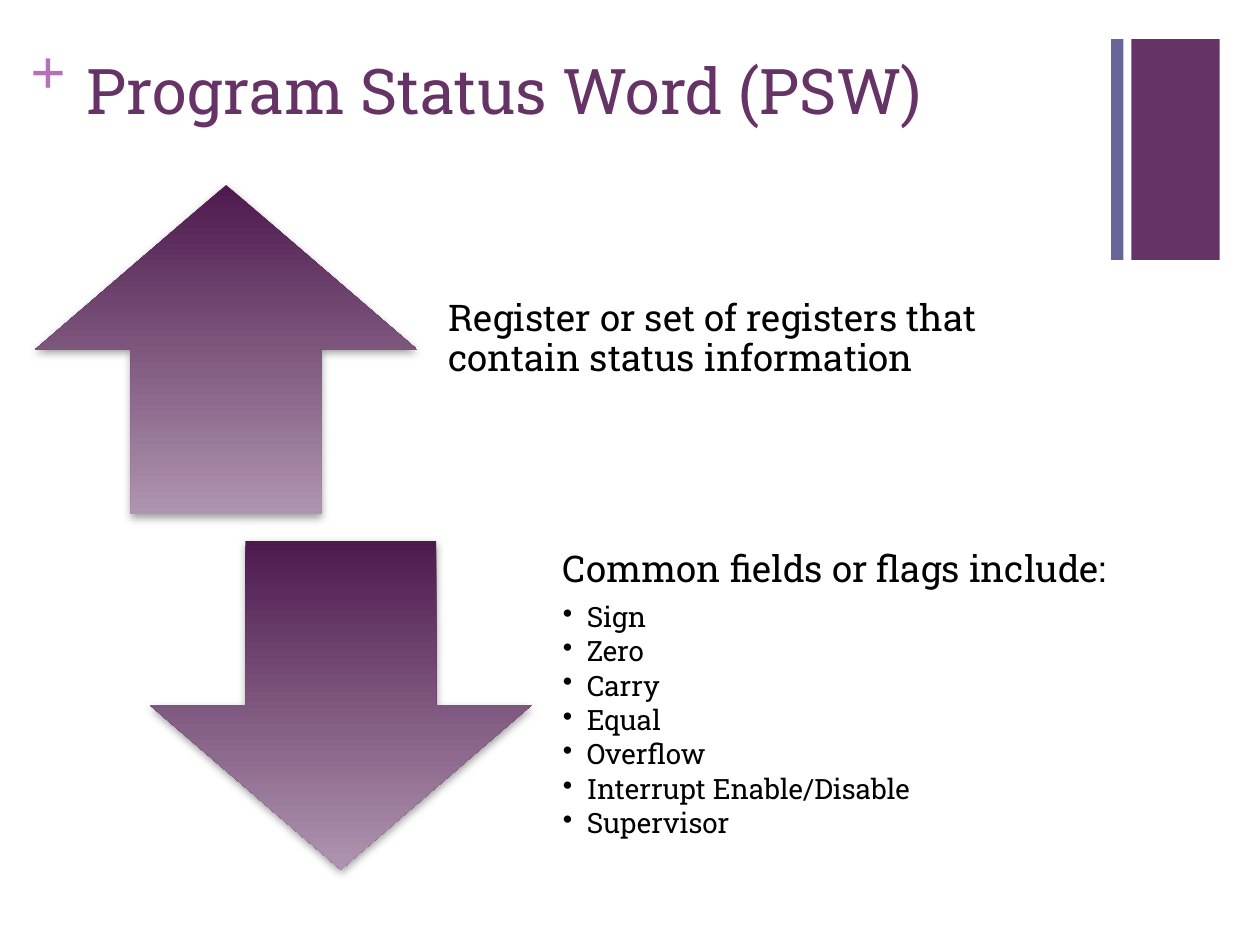
from lxml import etree
from pptx import Presentation, util as u
from pptx.dml.color import RGBColor
from pptx.enum import shapes, text
from pptx.oxml import ns

COLOURS = {
    "plum": "663366", "slate": "666699", "orchid": "B870B8",
    "arrow_dark": "4D1A4D", "arrow_light": "AF94AF",
    "shadow": "808080", "body": "000000",
}
FONT = "Roboto Slab"
FLAGS = ["Sign", "Zero", "Carry", "Equal", "Overflow",
         "Interrupt Enable/Disable", "Supervisor"]


def colour(name):
    return RGBColor.from_string(COLOURS[name])


def style(paragraph, size, colour_name, font=FONT, bold=False):
    paragraph.font.name = font
    paragraph.font.size = u.Pt(size)
    paragraph.font.bold = bold
    paragraph.font.color.rgb = colour(colour_name)


def add_box(slide, left, top, width, height, margins):
    """Add a wrapping text box; margins are left, top, right, bottom in cm."""
    box = slide.shapes.add_textbox(u.Cm(left), u.Cm(top), u.Cm(width), u.Cm(height))
    frame = box.text_frame
    frame.word_wrap = True
    (frame.margin_left, frame.margin_top,
     frame.margin_right, frame.margin_bottom) = map(u.Cm, margins)
    return frame


def add_bullet(paragraph, indent):
    properties = paragraph._p.get_or_add_pPr()
    properties.set("marL", str(u.Cm(indent)))
    properties.set("indent", str(-u.Cm(indent)))
    etree.SubElement(properties, ns.qn("a:buChar")).set("char", "•")


def add_shadow(shape):
    """Add a soft shadow that falls straight down."""
    shape.shadow.inherit = False
    effects = shape._element.spPr.find(ns.qn("a:effectLst"))
    shadow = etree.SubElement(effects, ns.qn("a:outerShdw"), blurRad=str(u.Pt(5)),
                              dist=str(u.Pt(2)), dir="5400000", rotWithShape="0")
    tint = etree.SubElement(shadow, ns.qn("a:srgbClr"), val=COLOURS["shadow"])
    etree.SubElement(tint, ns.qn("a:alpha"), val="75000")


def add_corner_bars(slide, left, top, height):
    for offset, width, name in ((0.41, 1.78, "plum"), (0, 0.25, "slate")):
        bar = slide.shapes.add_shape(
            shapes.MSO_SHAPE.RECTANGLE,
            u.Cm(left + offset), u.Cm(top), u.Cm(width), u.Cm(height))
        bar.shadow.inherit = False
        bar.fill.solid()
        bar.fill.fore_color.rgb = colour(name)
        bar.line.fill.background()


def add_heading(slide, left, top, width, height):
    plus = add_box(slide, left, top, 0.74, 1.55, (0, 0, 0, 0)).paragraphs[0]
    plus.text = "+"
    style(plus, 36, "orchid", "Times New Roman", bold=True)
    title = add_box(slide, left + 0.89, top + 0.28, width - 0.89, height - 0.28,
                    (0.25, 0.13, 0.25, 0.13)).paragraphs[0]
    title.text = "Program Status Word (PSW)"
    style(title, 36, "plum")


def add_arrow_row(slide, left, top, width, height, preset, heading, bullets=()):
    """Place an arrow on the left and its text, centred in height, on the right."""
    arrow_width, text_offset = 7.7, 7.93
    arrow = slide.shapes.add_shape(
        preset, u.Cm(left), u.Cm(top), u.Cm(arrow_width), u.Cm(height))
    arrow.fill.gradient()
    arrow.fill.gradient_angle = 270
    for stop, name in zip(arrow.fill.gradient_stops, ("arrow_dark", "arrow_light")):
        stop.color.rgb = colour(name)
    arrow.line.fill.background()
    add_shadow(arrow)

    frame = add_box(slide, left + text_offset, top, width - text_offset, height,
                    (0.4, 0, 0.4, 0.4))
    frame.vertical_anchor = text.MSO_ANCHOR.MIDDLE
    paragraph = frame.paragraphs[0]
    paragraph.text = heading
    paragraph.line_spacing = 0.9
    paragraph.space_after = u.Pt(7.35)
    style(paragraph, 21, "body")
    for bullet in bullets:
        paragraph = frame.add_paragraph()
        paragraph.text = bullet
        paragraph.level = 1
        paragraph.line_spacing = 0.9
        paragraph.space_after = u.Pt(2.4)
        add_bullet(paragraph, 0.48)
        style(paragraph, 16, "body")


def main():
    presentation = Presentation()
    presentation.slide_width, presentation.slide_height = u.Cm(25.4), u.Cm(19.05)
    slide = presentation.slides.add_slide(presentation.slide_layouts[6])
    add_corner_bars(slide, 22.4, 0.79, 4.45)
    add_heading(slide, 0.61, 0.63, 21.87, 3.38)
    add_arrow_row(slide, 0.71, 3.73, 21.01, 6.63, shapes.MSO_SHAPE.UP_ARROW,
                  "Register or set of registers that contain status information")
    add_arrow_row(slide, 3.02, 10.9, 21.01, 6.63, shapes.MSO_SHAPE.DOWN_ARROW,
                  "Common fields or flags include:", FLAGS)
    presentation.save("out.pptx")


if __name__ == "__main__":
    main()
